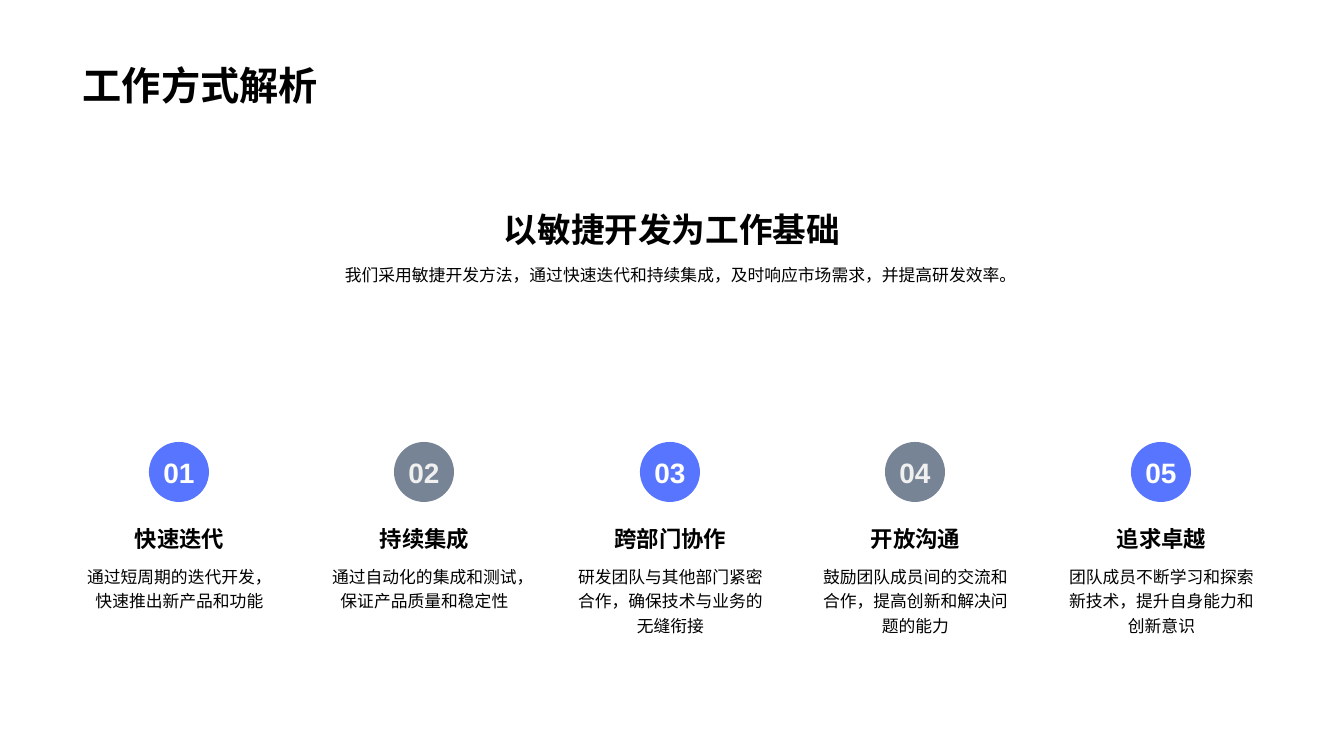
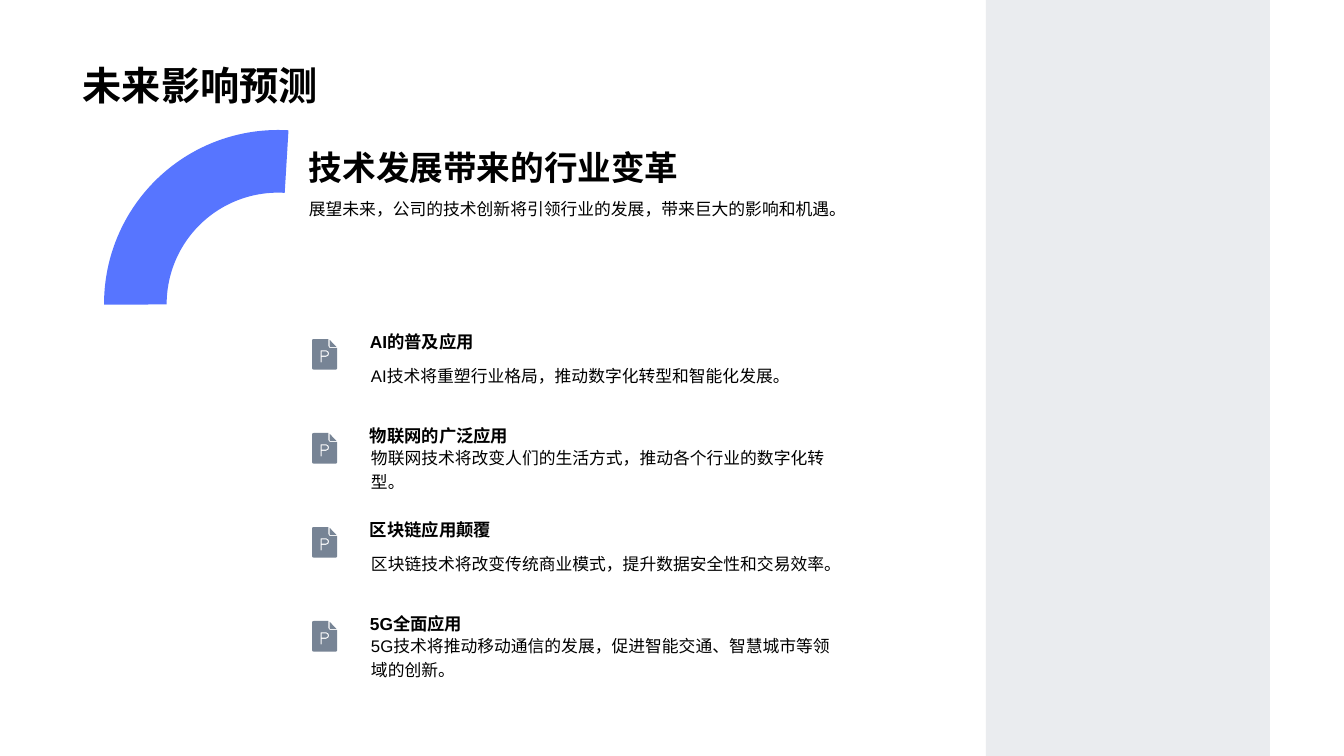
"""Build two slides on agile ways of working and future technology."""
from lxml.etree import SubElement
from pptx import Presentation
from pptx.dml.color import RGBColor
from pptx.enum.shapes import MSO_SHAPE
from pptx.enum.text import MSO_ANCHOR, PP_ALIGN
from pptx.oxml.ns import qn
from pptx.util import Pt

PX = 9071
FONT = "Arial"
BLACK, WHITE, PALE = "000000", "FFFFFF", "F0F0F0"
BLUE, SLATE = "5775FF", "778495"
LEFT, CENTER = PP_ALIGN.LEFT, PP_ALIGN.CENTER
TOP, MIDDLE, BOTTOM = MSO_ANCHOR.TOP, MSO_ANCHOR.MIDDLE, MSO_ANCHOR.BOTTOM


def paint(shape, color):
    """Give a shape a flat fill with no outline or shadow."""
    shape.shadow.inherit = False
    shape.fill.solid()
    shape.fill.fore_color.rgb = RGBColor.from_string(color)
    shape.line.fill.background()


def write(shape, text, size, bold=False, align=LEFT, anchor=TOP,
          spacing=1.0, wrap=True, color=BLACK):
    """Set the single paragraph of a shape."""
    frame = shape.text_frame
    frame.word_wrap = wrap
    frame.vertical_anchor = anchor
    para = frame.paragraphs[0]
    para.text = text
    para.alignment = align
    para.line_spacing = spacing
    para.font.name = FONT
    para.font.size = Pt(size)
    para.font.bold = bold
    para.font.color.rgb = RGBColor.from_string(color)


deck = Presentation()
deck.slide_width, deck.slide_height = 1344 * PX, 756 * PX
pages = []
for title in ("工作方式解析", "未来影响预测"):
    page = deck.slides.add_slide(deck.slide_layouts[6])
    box = page.shapes.add_textbox(73 * PX, 0, 1198 * PX, 113 * PX)
    write(box, title, 28, bold=True, anchor=BOTTOM)
    pages.append(page)
methods, future = pages

box = methods.shapes.add_textbox(300 * PX, 130 * PX, 744 * PX, 124 * PX)
write(box, "以敏捷开发为工作基础", 24, bold=True, align=CENTER, anchor=BOTTOM)
box = methods.shapes.add_textbox(331 * PX, 256 * PX, 683 * PX, 32 * PX)
write(box, "我们采用敏捷开发方法，通过快速迭代和持续集成，及时响应市场需求，并提高研发效率。",
      12, align=CENTER, spacing=1.2)

practices = [
    ("快速迭代", "通过短周期的迭代开发，快速推出新产品和功能"),
    ("持续集成", "通过自动化的集成和测试，保证产品质量和稳定性"),
    ("跨部门协作", "研发团队与其他部门紧密合作，确保技术与业务的无缝衔接"),
    ("开放沟通", "鼓励团队成员间的交流和合作，提高创新和解决问题的能力"),
    ("追求卓越", "团队成员不断学习和探索新技术，提升自身能力和创新意识"),
]
for index, (heading, detail) in enumerate(practices):
    left = 71 + 982 * index // 4
    fill, ink = ((BLUE, WHITE), (SLATE, PALE))[index % 2]
    badge = methods.shapes.add_shape(
        MSO_SHAPE.ROUNDED_RECTANGLE, (left + 78) * PX, 442 * PX, 60 * PX, 60 * PX)
    badge.adjustments[0] = 0.5
    paint(badge, fill)
    write(badge, f"{index + 1:02}", 20, bold=True, align=CENTER, anchor=MIDDLE,
          wrap=False, color=ink)
    box = methods.shapes.add_textbox(left * PX, 520 * PX, 217 * PX, 37 * PX)
    write(box, heading, 16, bold=True, align=CENTER, anchor=BOTTOM, wrap=False)
    box = methods.shapes.add_textbox(left * PX, 558 * PX, 217 * PX, 81 * PX)
    write(box, detail, 12, align=CENTER, spacing=1.2)

arc = future.shapes.add_shape(
    MSO_SHAPE.BLOCK_ARC, 104 * PX, 130 * PX, 348 * PX, 348 * PX)
for index, value in enumerate((159.93, 0.13, 0.18)):
    arc.adjustments[index] = value
arc._element.spPr.find(qn("a:xfrm")).set("flipH", "1")
paint(arc, BLUE)

panel = future.shapes.add_shape(
    MSO_SHAPE.RECTANGLE, 986 * PX, 0, 284 * PX, 756 * PX)
paint(panel, SLATE)
tint = panel._element.spPr.find(qn("a:solidFill")).find(qn("a:srgbClr"))
SubElement(tint, qn("a:alpha")).set("val", "15000")

box = future.shapes.add_textbox(299 * PX, 142 * PX, 746 * PX, 50 * PX)
write(box, "技术发展带来的行业变革", 24, bold=True, anchor=MIDDLE)
box = future.shapes.add_textbox(299 * PX, 190 * PX, 633 * PX, 32 * PX)
write(box, "展望未来，公司的技术创新将引领行业的发展，带来巨大的影响和机遇。", 12, spacing=1.2)

icon_outlines = [
    [(16, 0), (165, 0), (165, 72), (170, 84), (182, 90), (252, 90), (252, 290),
     (248, 302), (236, 306), (16, 306), (4, 302), (0, 290), (0, 16), (4, 4)],
    [(85, 113), (140, 113), (162, 122), (171, 146), (162, 169), (140, 178),
     (97, 178), (97, 234), (85, 234)],
    [(97, 125), (140, 125), (152, 131), (158, 146), (152, 160), (140, 166),
     (97, 166)],
    [(176, 8), (244, 78), (182, 78), (176, 72)],
]
trends = [
    ("AI的普及应用", "AI技术将重塑行业格局，推动数字化转型和智能化发展。"),
    ("物联网的广泛应用", "物联网技术将改变人们的生活方式，推动各个行业的数字化转型。"),
    ("区块链应用颠覆", "区块链技术将改变传统商业模式，提升数据安全性和交易效率。"),
    ("5G全面应用", "5G技术将推动移动通信的发展，促进智能交通、智慧城市等领域的创新。"),
]
for index, (heading, detail) in enumerate(trends):
    top = 328 + 94 * index
    builder = future.shapes.build_freeform(*icon_outlines[0][0], scale=PX / 10)
    for outline in icon_outlines:
        builder.move_to(*outline[0])
        builder.add_line_segments(outline[1:], close=True)
    icon = builder.convert_to_shape(312 * PX, (top + 11) * PX)
    paint(icon, SLATE)
    box = future.shapes.add_textbox(347 * PX, (top + 10) * PX, 510 * PX, 71 * PX)
    frame = box.text_frame
    frame.margin_left = frame.margin_right = 24 * PX
    frame.margin_top = frame.margin_bottom = 12 * PX
    write(box, detail, 12, anchor=MIDDLE, spacing=1.2)
    box = future.shapes.add_textbox(360 * PX, top * PX, 195 * PX, 29 * PX)
    write(box, heading, 12.4, bold=True, anchor=BOTTOM, spacing=0.8, wrap=False)

deck.save("out.pptx")
